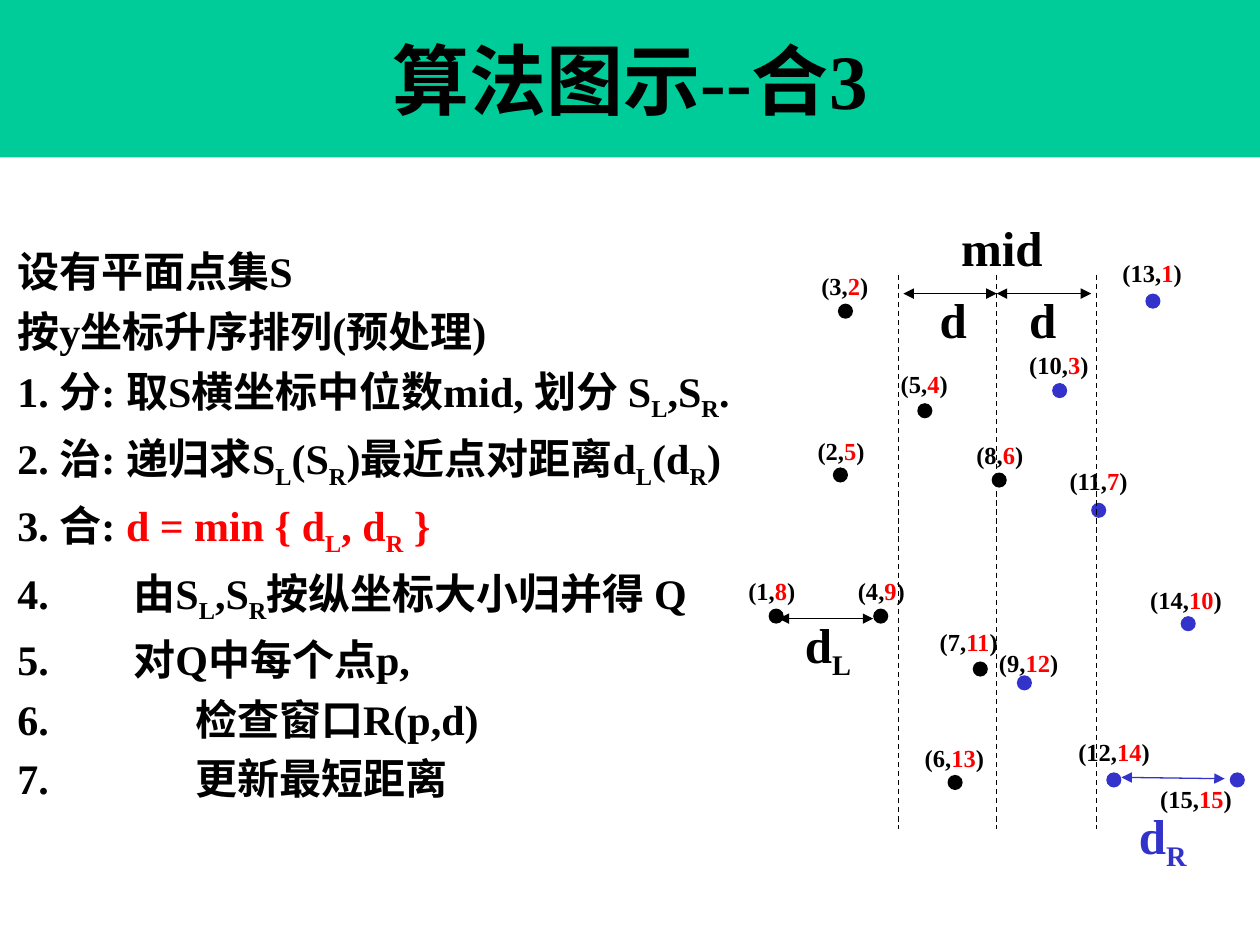
from lxml import etree
from pptx import Presentation
from pptx.dml.color import RGBColor
from pptx.enum.dml import MSO_LINE
from pptx.enum.shapes import MSO_CONNECTOR, MSO_SHAPE
from pptx.enum.text import MSO_ANCHOR, MSO_AUTO_SIZE, PP_ALIGN
from pptx.oxml.ns import qn
from pptx.util import Emu, Inches, Pt

STRAIGHT, OVAL, DASH = MSO_CONNECTOR.STRAIGHT, MSO_SHAPE.OVAL, MSO_LINE.DASH
MIDDLE, CENTER, GROW = MSO_ANCHOR.MIDDLE, PP_ALIGN.CENTER, MSO_AUTO_SIZE.SHAPE_TO_FIT_TEXT
FONT = "Times New Roman"
GREEN, BLACK, RED, BLUE = "00CC99", "000000", "FF0000", "3333CC"
WIDTH, HEIGHT = Inches(10), Inches(7.5)
COLUMNS, ROWS = 10, 7.5
DOT = 0.12
MID, TOP, BOTTOM = 7.91, 2.18, 6.58
TAB_STOPS = (0.92, 1.41)

# "|" separates normal text from subscripts
STEPS = [
    [("设有平面点集S", BLACK)],
    [("按y坐标升序排列(预处理)", BLACK)],
    [("1. 分: 取S横坐标中位数mid, 划分 S|L|,S|R|.", BLACK)],
    [("2. 治: 递归求S|L|(S|R|)最近点对距离d|L|(d|R|)", BLACK)],
    [("3. 合: ", BLACK), ("d = min { d|L|, d|R| }", RED)],
    [("4.\t由S|L|,S|R|按纵坐标大小归并得 Q", BLACK)],
    [("5.\t对Q中每个点p,", BLACK)],
    [("6.\t\t检查窗口R(p,d)", BLACK)],
    [("7.\t\t更新最短距离", BLACK)],
]

# x, y rank, dot column and row, label column and row
POINTS = [
    (13, 1, 9.09, 2.33, 8.81, 2.00), (3, 2, 6.65, 2.41, 6.42, 2.10),
    (10, 3, 8.35, 3.04, 8.07, 2.73), (5, 4, 7.28, 3.20, 7.05, 2.88),
    (2, 5, 6.61, 3.71, 6.39, 3.41), (8, 6, 7.87, 3.75, 7.65, 3.44),
    (11, 7, 8.66, 3.99, 8.39, 3.65), (1, 8, 6.10, 4.83, 5.84, 4.52),
    (4, 9, 6.93, 4.83, 6.71, 4.52), (14, 10, 9.37, 4.89, 9.03, 4.59),
    (7, 11, 7.72, 5.25, 7.36, 4.93), (9, 12, 8.07, 5.36, 7.83, 5.09),
    (6, 13, 7.52, 6.15, 7.24, 5.85), (12, 14, 8.78, 6.13, 8.46, 5.80),
    (15, 15, 9.76, 6.13, 9.11, 6.17),
]

DISTANCE_LABELS = [
    ("mid", 7.53, 1.68, 0.86, BLACK), ("d", 7.36, 2.25, 0.52, BLACK),
    ("d", 8.07, 2.25, 0.52, BLACK), ("d|L|", 6.29, 4.83, 0.68, BLACK),
    ("d|R|", 8.94, 6.34, 0.71, BLUE),
]

DISTANCE_ARROWS = [
    (6.18, 4.91, 6.93, 4.91, BLACK), (MID, 2.33, 8.66, 2.33, BLACK),
    (7.17, 2.33, MID, 2.33, BLACK), (8.9, 6.17, 9.72, 6.18, BLUE),
]


def rgb(value):
    """Turn a hex string into a colour."""
    return RGBColor.from_string(value)


def grid(*cells):
    """Turn alternating columns and rows into slide lengths."""
    units = (WIDTH / COLUMNS, HEIGHT / ROWS)
    return [Emu(round(cell * units[i % 2])) for i, cell in enumerate(cells)]


def style(run, size, colour):
    """Give a run the bold slide font."""
    run.font.name, run.font.size, run.font.bold = FONT, Pt(size), True
    run.font.color.rgb = rgb(colour)


def write(paragraph, marked, size, colour):
    """Add runs whose parts between bars are subscripts."""
    for index, part in enumerate(marked.split("|")):
        if part:
            run = paragraph.add_run()
            run.text = part
            style(run, size, colour)
            if index % 2:
                run._r.get_or_add_rPr().set("baseline", "-25000")


def add_text_frame(slide, box, wrap=False):
    """Add a growing text box and return its frame."""
    frame = slide.shapes.add_textbox(*grid(*box)).text_frame
    frame.word_wrap, frame.auto_size = wrap, GROW
    return frame


def add_title(slide, heading):
    """Fill the title placeholder as a full-width band."""
    title = slide.shapes.title
    title.left, title.top, title.width, title.height = grid(0, 0, COLUMNS, 1.25)
    title.fill.solid()
    title.fill.fore_color.rgb = rgb(GREEN)
    title.text_frame.text = heading
    title.text_frame.vertical_anchor = MIDDLE
    paragraph = title.text_frame.paragraphs[0]
    paragraph.alignment = CENTER
    style(paragraph.runs[0], 44, BLACK)


def add_tab_stops(paragraph):
    """Set the tab stops that indent the nested steps."""
    stops = etree.SubElement(paragraph._p.get_or_add_pPr(), qn("a:tabLst"))
    for stop in grid(*(TAB_STOPS[0], 0, TAB_STOPS[1]))[::2]:
        etree.SubElement(stops, qn("a:tab"), pos=str(stop), algn="l")


def add_steps(slide):
    """Write the steps of the algorithm."""
    frame = add_text_frame(slide, (0.04, 1.86, 6.02, 4.42), wrap=True)
    for index, spans in enumerate(STEPS):
        paragraph = frame.add_paragraph() if index else frame.paragraphs[0]
        paragraph.line_spacing = 1.1
        paragraph.space_before = paragraph.space_after = Pt(1.2)
        if "\t" in spans[0][0]:
            add_tab_stops(paragraph)
        for marked, colour in spans:
            write(paragraph, marked, 24, colour)


def add_dot(slide, column, row, colour):
    """Draw one point of the set."""
    dot = slide.shapes.add_shape(OVAL, *grid(column, row, DOT, DOT))
    dot.shadow.inherit = False
    dot.fill.solid()
    dot.fill.fore_color.rgb = rgb(colour)
    dot.line.fill.background()


def add_line(slide, ends, colour=BLACK, arrows=False):
    """Draw a dashed boundary or a double-headed arrow."""
    connector = slide.shapes.add_connector(STRAIGHT, *grid(*ends))
    connector.line.width = Pt(0.75)
    connector.line.color.rgb = rgb(colour)
    if arrows:
        for end in ("a:headEnd", "a:tailEnd"):
            etree.SubElement(connector.line._get_or_add_ln(), qn(end), type="triangle")
    else:
        connector.line.dash_style = DASH
    etree.SubElement(connector._element.spPr, qn("a:effectLst"))


def add_distance_label(slide, marked, column, row, width, colour):
    """Name the middle line or a distance."""
    paragraph = add_text_frame(slide, (column, row, width, 0.57)).paragraphs[0]
    paragraph.space_before = Pt(2.8)
    write(paragraph, marked, 28, colour)


def add_point_label(slide, x, rank, column, row):
    """Write a coordinate pair with its y rank in red."""
    width = 0.39 + 0.095 * len(f"{x}{rank}")
    paragraph = add_text_frame(slide, (column, row, width, 0.34)).paragraphs[0]
    paragraph.space_before = Pt(1.4)
    for part, colour in ((f"({x},", BLACK), (str(rank), RED), (")", BLACK)):
        write(paragraph, part, 14, colour)


def main():
    """Build the slide and save it."""
    deck = Presentation()
    deck.slide_width, deck.slide_height = WIDTH, HEIGHT
    slide = deck.slides.add_slide(deck.slide_layouts[5])
    add_title(slide, "算法图示--合3")
    for x, _, column, row, _, _ in POINTS:
        add_dot(slide, column, row, BLACK if x <= 8 else BLUE)
    add_steps(slide)
    for column in (7.13, MID, 8.7):
        add_line(slide, (column, TOP, column, BOTTOM))
    for *ends, colour in DISTANCE_ARROWS:
        add_line(slide, ends, colour, arrows=True)
    for label in DISTANCE_LABELS:
        add_distance_label(slide, *label)
    for x, rank, _, _, column, row in POINTS:
        add_point_label(slide, x, rank, column, row)
    deck.save("out.pptx")


if __name__ == "__main__":
    main()
